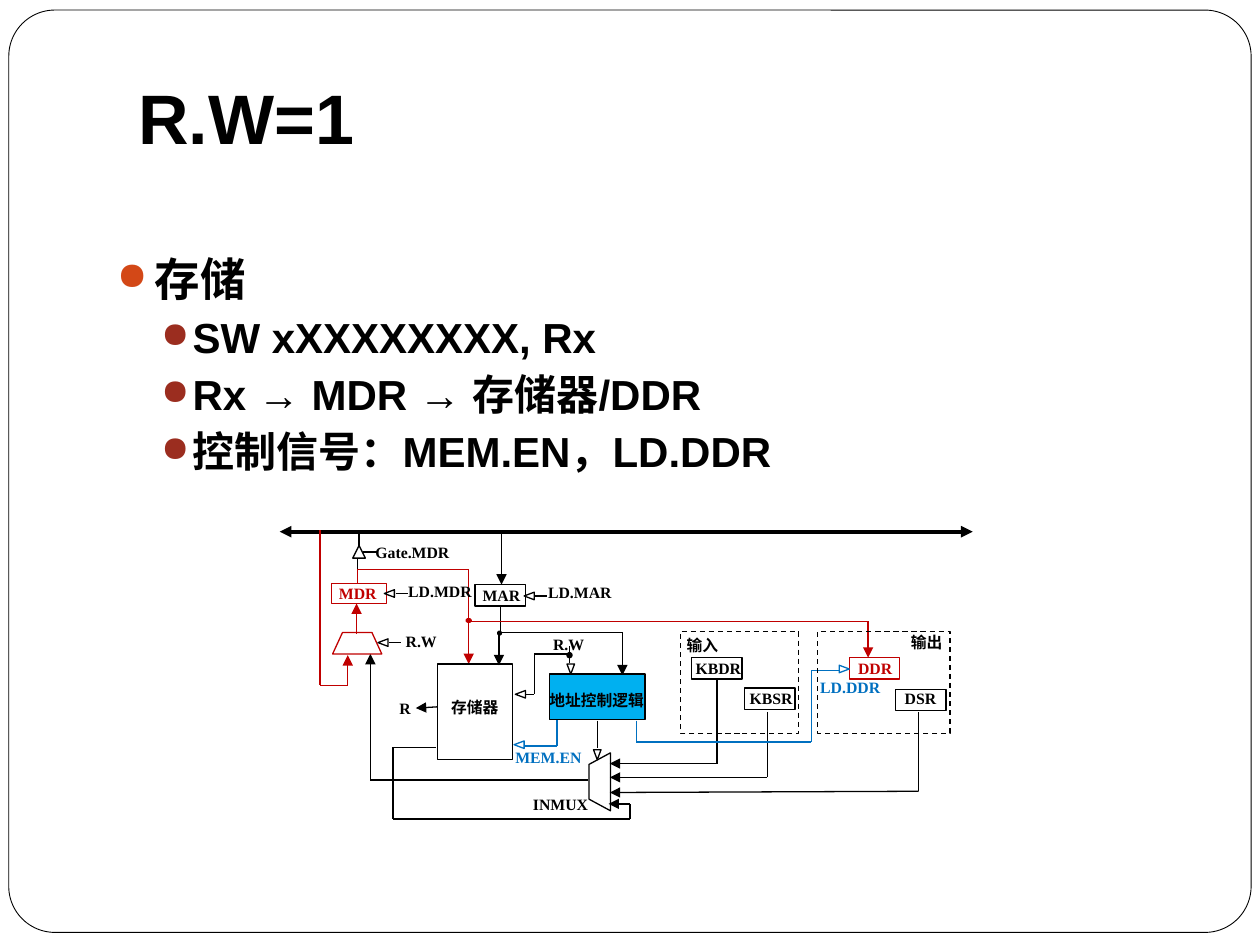
from itertools import pairwise

from lxml import etree
from pptx import Presentation
from pptx import util as u
from pptx.dml.color import RGBColor
from pptx.enum import dml, shapes, text
from pptx.oxml.ns import qn

BLACK = RGBColor(0x00, 0x00, 0x00)
WHITE = RGBColor(0xFF, 0xFF, 0xFF)
RED = RGBColor(0xC0, 0x00, 0x00)
BLUE = RGBColor(0x00, 0x70, 0xC0)
SKY = RGBColor(0x00, 0xB0, 0xF0)
ORANGE = RGBColor(0xD3, 0x48, 0x17)
BRICK = RGBColor(0x9B, 0x2D, 0x1F)
KIND = shapes.MSO_SHAPE


class Diagram:
    """Draws styled elements on the current slide."""

    heading_font = "Arial"
    label_font = "Times New Roman"

    def __init__(self, slide):
        self.slide = slide

    def shape(self, kind, box, line=BLACK, fill=None, rotation=0, weight=0.75, dashed=False):
        item = self.slide.shapes.add_shape(kind, *map(u.Inches, box))
        item.shadow.inherit = False
        item.rotation = rotation
        if fill is None:
            item.fill.background()
        else:
            item.fill.solid()
            item.fill.fore_color.rgb = fill
        item.line.color.rgb = line
        item.line.width = u.Pt(weight)
        if dashed:
            item.line.dash_style = dml.MSO_LINE.DASH
        return item

    def wire(self, points, color=BLACK, arrow=False, both=False, weight=0.75):
        """Joins points with straight segments; an arrow ends the last one."""
        segments = list(pairwise(points))
        for index, (start, end) in enumerate(segments):
            line = self.slide.shapes.add_connector(
                shapes.MSO_CONNECTOR.STRAIGHT, *map(u.Inches, start + end))
            line.line.color.rgb = color
            line.line.width = u.Pt(weight)
            outline = line._element.spPr.find(qn("a:ln"))
            if both:
                etree.SubElement(outline, qn("a:headEnd"), type="triangle")
            if both or (arrow and index == len(segments) - 1):
                etree.SubElement(outline, qn("a:tailEnd"), type="triangle")
            etree.SubElement(line._element.spPr, qn("a:effectLst"))

    def text_box(self, box, anchor, margins=(0.1, 0.05)):
        frame = self.slide.shapes.add_textbox(*map(u.Inches, box)).text_frame
        frame.word_wrap = True
        frame.vertical_anchor = anchor
        frame.margin_left = frame.margin_right = u.Inches(margins[0])
        frame.margin_top = frame.margin_bottom = u.Inches(margins[1])
        return frame

    def set_text(self, paragraph, words, size, font, color=BLACK):
        paragraph.text = words
        paragraph.font.size = u.Pt(size)
        paragraph.font.name = font
        paragraph.font.bold = True
        paragraph.font.color.rgb = color

    def title(self, words, box):
        frame = self.text_box(box, text.MSO_ANCHOR.MIDDLE)
        self.set_text(frame.paragraphs[0], words, 40, self.heading_font)

    def bullets(self, items, box):
        frame = self.text_box(box, text.MSO_ANCHOR.TOP)
        for index, (level, words) in enumerate(items):
            paragraph = frame.add_paragraph() if index else frame.paragraphs[0]
            paragraph.level = level
            if index:
                paragraph.space_before = u.Pt(3.7)
            indent, hanging, size, color = [(0.3, 0.3, 26, ORANGE), (0.6, 0.25, 24, BRICK)][level]
            props = paragraph._p.get_or_add_pPr()
            props.set("marL", str(u.Inches(indent)))
            props.set("indent", str(-u.Inches(hanging)))
            bullet_color = etree.SubElement(props, qn("a:buClr"))
            etree.SubElement(bullet_color, qn("a:srgbClr"), val=str(color))
            etree.SubElement(props, qn("a:buSzPct"), val="85000")
            etree.SubElement(props, qn("a:buChar"), char="●")
            self.set_text(paragraph, words, size, self.heading_font)

    def label(self, words, left, top, width, height=0.22, color=BLACK):
        frame = self.text_box((left, top, width, height), text.MSO_ANCHOR.MIDDLE, (0.02, 0.01))
        self.set_text(frame.paragraphs[0], words, 9, self.label_font, color)

    def control_tip(self, left, top, rotation, color=BLACK):
        """Small hollow triangle that ends a control signal."""
        self.shape(KIND.FLOWCHART_EXTRACT, (left, top, 0.06, 0.08), color, WHITE, rotation)

    def junction(self, left, top, width, height, color=BLACK):
        self.shape(KIND.OVAL, (left, top, width, height), color, color)


def main():
    deck = Presentation()
    deck.slide_width, deck.slide_height = u.Inches(10), u.Inches(7.5)
    d = Diagram(deck.slides.add_slide(deck.slide_layouts[6]))

    # Frame, title and bullets
    frame = d.shape(KIND.ROUNDED_RECTANGLE, (0.07, 0.08, 9.86, 7.32), fill=WHITE, weight=0.5)
    frame.adjustments[0] = 0.05
    d.title("R.W=1", (1, 0.3, 8.5, 1.25))
    d.bullets([(0, "存储"),
               (1, "SW xXXXXXXXX, Rx"),
               (1, "Rx → MDR → 存储器/DDR"),
               (1, "控制信号：MEM.EN，LD.DDR")], (0.83, 1.94, 8.35, 2.05))

    # System bus
    d.wire([(2.22, 4.22), (7.72, 4.22)], both=True, weight=2.25)

    # Plain wires
    for points in [
        [(2.85, 4.23), (2.85, 4.34)],
        [(2.88, 4.38), (2.99, 4.38)],
        [(2.84, 4.43), (2.84, 4.52)],
        [(3.14, 4.71), (3.24, 4.71)],
        [(4.24, 4.73), (4.34, 4.73)],
        [(3.09, 5.1), (3.18, 5.1)],
        [(3.97, 4.81), (3.97, 5.03)],
        [(4.52, 5.13), (4.52, 5.26)],
        [(4.52, 5.19), (4.24, 5.19), (4.24, 5.51), (4.16, 5.51)],
        [(4.74, 5.72), (4.74, 5.94)],
    ]:
        d.wire(points)

    # Data wires with arrows
    for points in [
        [(3.98, 4.22), (3.98, 4.64)],
        [(3.96, 5.02), (3.96, 5.28)],
        [(3.97, 5.02), (4.94, 5.02), (4.94, 5.36)],
        [(3.47, 5.61), (3.3, 5.62)],
        [(4.67, 6.19), (2.94, 6.19), (2.94, 5.19)],
        [(3.46, 5.93), (3.12, 5.93), (3.12, 6.5), (5, 6.5), (5, 6.38), (4.83, 6.38)],
        [(5.69, 5.4), (5.69, 6.06), (4.84, 6.06)],
        [(6.09, 5.65), (6.09, 6.17), (4.84, 6.17)],
        [(7.29, 5.65), (7.29, 6.28), (4.84, 6.29)],
    ]:
        d.wire(points, arrow=True)

    # Active store path
    for points in [
        [(2.54, 4.21), (2.54, 5.44), (2.76, 5.44), (2.76, 5.2)],
        [(2.83, 5.03), (2.83, 4.79)],
        [(2.84, 4.63), (2.84, 4.52), (3.72, 4.52), (3.72, 5.27)],
        [(3.7, 4.93), (6.89, 4.93), (6.89, 5.22)],
    ]:
        d.wire(points, RED, arrow=True)

    # Active control signals
    d.wire([(4.42, 5.71), (4.42, 5.92), (4.16, 5.92)], BLUE)
    d.wire([(5.05, 5.72), (5.05, 5.89), (6.44, 5.89), (6.44, 5.32), (6.68, 5.32)], BLUE)

    # Registers, memory and control logic
    for box, color, fill in [
        ((2.63, 4.63, 0.44, 0.16), RED, None),
        ((3.77, 4.64, 0.4, 0.17), BLACK, None),
        ((3.47, 5.27, 0.6, 0.76), BLACK, None),
        ((4.36, 5.35, 0.76, 0.36), BLACK, SKY),
        ((5.49, 5.22, 0.4, 0.17), BLACK, None),
        ((5.91, 5.46, 0.4, 0.17), BLACK, None),
        ((6.74, 5.22, 0.4, 0.17), RED, None),
        ((7.11, 5.47, 0.4, 0.17), BLACK, None),
    ]:
        d.shape(KIND.RECTANGLE, box, color, fill)

    # Input and output groups
    for left, width in [(5.4, 0.94), (6.49, 1.05)]:
        d.shape(KIND.RECTANGLE, (left, 5.01, width, 0.81), dashed=True)

    # Multiplexers, bus gate, control tips and junctions
    d.shape(KIND.FLOWCHART_MANUAL_OPERATION, (2.64, 5.02, 0.39, 0.17), RED, rotation=180)
    d.shape(KIND.FLOWCHART_MANUAL_OPERATION, (4.53, 6.12, 0.46, 0.17), rotation=90)
    d.shape(KIND.FLOWCHART_EXTRACT, (2.8, 4.33, 0.1, 0.1), fill=WHITE)
    for left, top in [(3.06, 4.67), (4.17, 4.69), (4.1, 5.47), (3.01, 5.06)]:
        d.control_tip(left, top, 270)
    for left, top in [(4.5, 5.27), (4.71, 5.95)]:
        d.control_tip(left, top, 180)
    d.control_tip(4.09, 5.87, 270, BLUE)
    d.control_tip(6.67, 5.27, 90, BLUE)
    d.junction(3.7, 4.91, 0.04, 0.03, RED)
    d.junction(3.95, 5.01, 0.03, 0.03)
    d.junction(4.5, 5.18, 0.04, 0.04)

    # Labels
    for words, *place in [
        ("Gate.MDR", 2.96, 4.27, 0.7),
        ("LD.MDR", 3.22, 4.58, 0.56),
        ("MAR", 3.81, 4.61, 0.35),
        ("LD.MAR", 4.33, 4.59, 0.56),
        ("R.W", 3.2, 4.98, 0.34),
        ("R.W", 4.37, 5, 0.34),
        ("R", 3.15, 5.51, 0.16),
        ("存储器", 3.56, 5.48, 0.43, 0.27),
        ("地址控制逻辑", 4.34, 5.36, 0.85, 0.39),
        ("INMUX", 4.21, 6.27, 0.56),
        ("输入", 5.43, 5.01, 0.38),
        ("KBDR", 5.5, 5.19, 0.52, 0.23),
        ("KBSR", 5.93, 5.43, 0.39),
        ("输出", 7.21, 4.99, 0.37),
        ("DSR", 7.16, 5.43, 0.39),
    ]:
        d.label(words, *place)
    d.label("MDR", 2.67, 4.6, 0.35, color=RED)
    d.label("DDR", 6.79, 5.19, 0.39, color=RED)
    d.label("MEM.EN", 4.07, 5.89, 0.68, 0.24, BLUE)
    d.label("LD.DDR", 6.49, 5.34, 0.56, color=BLUE)

    deck.save("out.pptx")


if __name__ == "__main__":
    main()
